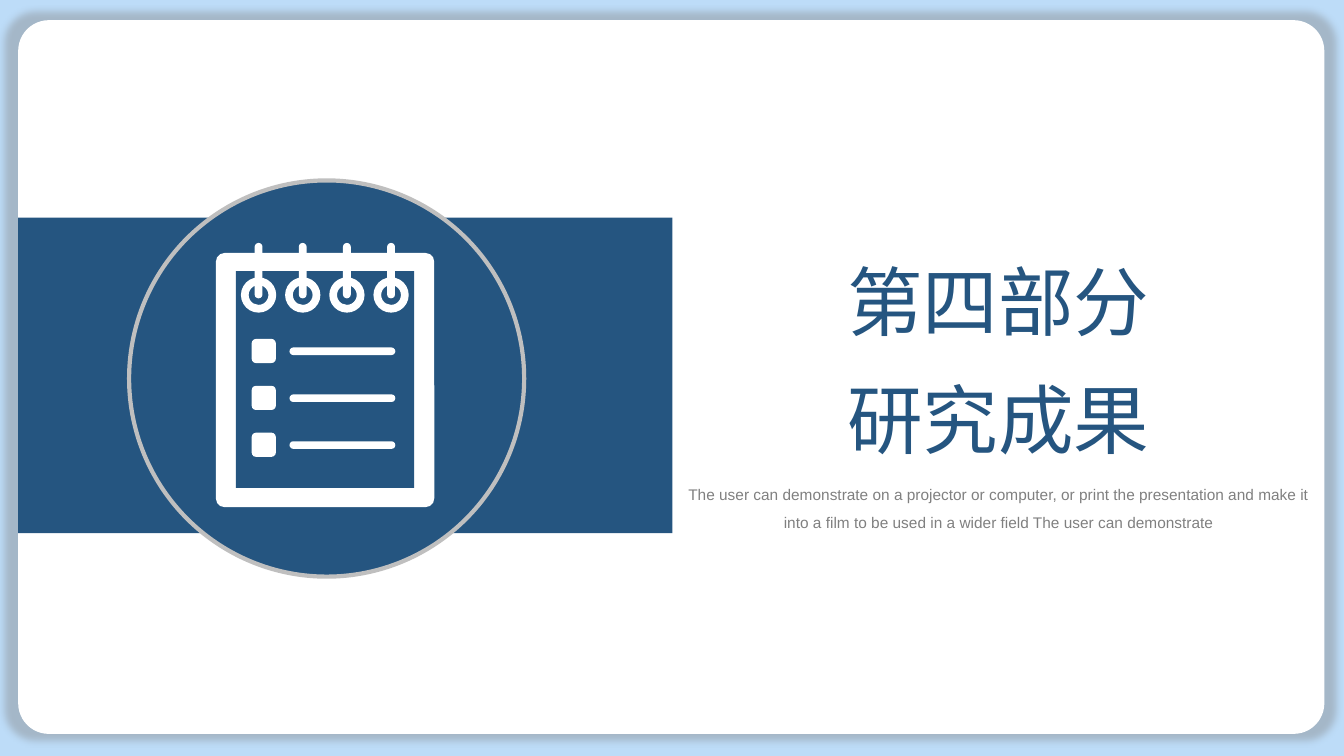
from lxml import etree
from pptx import Presentation
from pptx.dml.color import RGBColor
from pptx.enum.shapes import MSO_SHAPE
from pptx.enum.text import MSO_ANCHOR, MSO_AUTO_SIZE, PP_ALIGN
from pptx.oxml import parse_xml
from pptx.oxml.ns import nsdecls, qn
from pptx.util import Pt

RECT, ROUND = MSO_SHAPE.RECTANGLE, MSO_SHAPE.ROUNDED_RECTANGLE
OVAL, DONUT = MSO_SHAPE.OVAL, MSO_SHAPE.DONUT
TOP, CENTER = MSO_ANCHOR.TOP, PP_ALIGN.CENTER
GROW = MSO_AUTO_SIZE.SHAPE_TO_FIT_TEXT

SKY = RGBColor(0xBD, 0xDC, 0xF8)
NAVY = RGBColor(0x25, 0x55, 0x80)
WHITE = RGBColor(0xFF, 0xFF, 0xFF)
SILVER = RGBColor(0xBF, 0xBF, 0xBF)
GRAY = RGBColor(0x80, 0x80, 0x80)

SLIDE_SIZE = (960, 540)
CARD_BOX = (13, 14.4, 933, 509.8)
BAND_BOX = (13, 155.5, 467.3, 225.4)
BADGE_BOX = (92.2, 128.9, 282.2, 283)
HEADING_BOX = (479.5, 159.1, 467.3, 169.2)
SUMMARY_BOX = (480.2, 336.2, 466.6, 44.6)

HEADING = ["第四部分", "研究成果"]
SUMMARY = ["The user can demonstrate on a projector or computer, or print the "
           "presentation and make it into a film to be used in a wider field "
           "The user can demonstrate"]
HEADING_FONT = {"name": "Noto Sans CJK JP", "size": Pt(54), "bold": False}
SUMMARY_FONT = {"name": "Arial", "size": Pt(11), "bold": False}
FRAME_FORMAT = {"word_wrap": True, "auto_size": GROW, "vertical_anchor": TOP,
                "margin_left": Pt(7.2), "margin_right": Pt(7.2),
                "margin_top": Pt(3.6), "margin_bottom": Pt(3.6)}
CARD_SHADOW = (
    f'<a:effectLst {nsdecls("a")}><a:outerShdw blurRad="63500" dist="0" dir="0" '
    'sx="102000" sy="102000" algn="ctr" rotWithShape="0"><a:srgbClr val="808080">'
    '<a:alpha val="40000"/></a:srgbClr></a:outerShdw></a:effectLst>')


def apply(target, values):
    """Set each named attribute of the target."""
    for name, value in values.items():
        setattr(target, name, value)


def add_part(shapes, kind, box, color, adjust=None):
    """Add a flat filled preset shape without outline."""
    part = shapes.add_shape(kind, *map(Pt, box))
    part.shadow.inherit = False
    part.fill.solid()
    part.fill.fore_color.rgb = color
    part.line.fill.background()
    if adjust is not None:
        part.adjustments[0] = adjust
    return part


def draw_card(slide, box):
    """Draw the white rounded card with its soft halo on the sky background."""
    slide.background.fill.solid()
    slide.background.fill.fore_color.rgb = SKY
    card = add_part(slide.shapes, ROUND, box, WHITE, 0.043)
    properties = card._element.spPr
    properties.remove(properties.find(qn("a:effectLst")))
    properties.append(parse_xml(CARD_SHADOW))


def draw_badge(slide, box):
    """Draw the ringed circle holding a notepad with binding and checklist."""
    left, top, width, height = box
    parts = slide.shapes.add_group_shape().shapes

    def place(kind, x, y, w, h, color=WHITE, adjust=None):
        return add_part(parts, kind, (left + x, top + y, w, h), color, adjust)

    circle = place(OVAL, 0, 0, width, height, NAVY)
    circle.line.color.rgb = SILVER
    circle.line.width = Pt(3)
    place(ROUND, 62, 51.8, 156, 181.6, adjust=0.04)
    place(RECT, 76.3, 64.8, 127.4, 154.8, NAVY)
    for ring in range(4):
        center = 92.5 + 31.55 * ring
        place(DONUT, center - 12.6, 69.2, 25.2, 25.2, adjust=0.22)
        place(ROUND, center - 2.8, 44.6, 5.6, 39.6, adjust=0.5)
    for row in range(3):
        offset = 33.5 * row
        place(ROUND, 87.6, 113.2 + offset, 17.2, 17.2, adjust=0.17)
        place(ROUND, 114.6, 119.3 + offset, 75.6, 5.4, adjust=0.5)


def write_text(slide, placeholder, box, lines, font, color, spacing):
    """Move a placeholder above the card and fill it with centred lines."""
    apply(placeholder, dict(zip(("left", "top", "width", "height"), map(Pt, box))))
    slide.shapes._spTree.append(placeholder._element)
    frame = placeholder.text_frame
    frame.text = "\n".join(lines)
    apply(frame, FRAME_FORMAT)
    for paragraph in frame.paragraphs:
        apply(paragraph, {"alignment": CENTER, "line_spacing": spacing,
                          "space_before": Pt(0), "space_after": Pt(0)})
        for run in paragraph.runs:
            apply(run.font, font)
            run.font.color.rgb = color
            etree.SubElement(run.font._element, qn("a:ea"), typeface=font["name"])


def build_section_slide(deck):
    """Build the section divider from its card, band, badge and texts."""
    slide = deck.slides.add_slide(deck.slide_layouts[0])
    draw_card(slide, CARD_BOX)
    add_part(slide.shapes, RECT, BAND_BOX, NAVY)
    write_text(slide, slide.shapes.title, HEADING_BOX, HEADING, HEADING_FONT, NAVY, 1.3)
    write_text(slide, slide.placeholders[1], SUMMARY_BOX, SUMMARY, SUMMARY_FONT, GRAY, 1.5)
    draw_badge(slide, BADGE_BOX)


deck = Presentation()
deck.slide_width, deck.slide_height = map(Pt, SLIDE_SIZE)
build_section_slide(deck)
deck.save("out.pptx")
